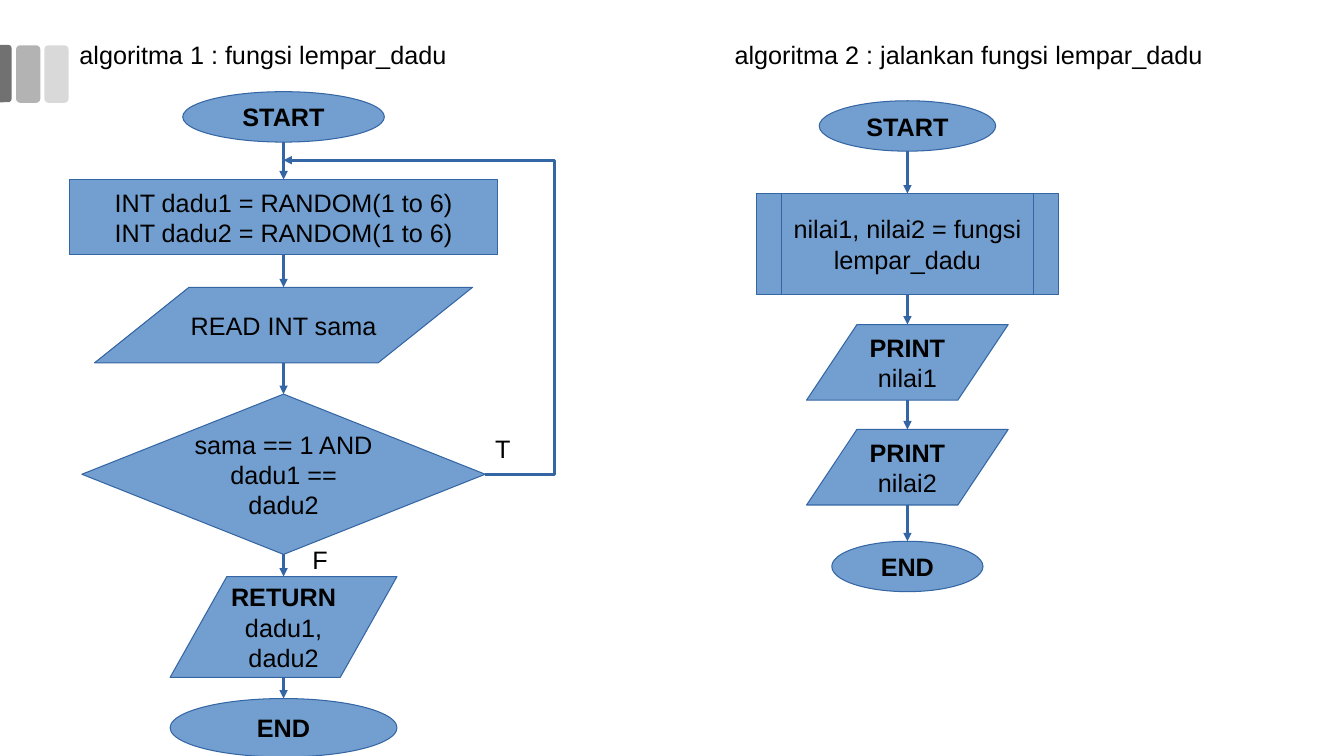
"""Build a slide with two flowcharts: the dice-throwing function and the program that runs it."""
from lxml import etree
from pptx import Presentation
from pptx.dml.color import RGBColor
from pptx.enum.shapes import MSO_CONNECTOR, MSO_SHAPE
from pptx.enum.text import MSO_ANCHOR, MSO_AUTO_SIZE, PP_ALIGN
from pptx.oxml.ns import qn
from pptx.util import Inches, Pt

OVAL = MSO_SHAPE.OVAL
BOX = MSO_SHAPE.RECTANGLE
DATA = MSO_SHAPE.PARALLELOGRAM
DECISION = MSO_SHAPE.DIAMOND
MARK = MSO_SHAPE.ROUNDED_RECTANGLE
MARK_END = MSO_SHAPE.ROUND_2_SAME_RECTANGLE
STRAIGHT = MSO_CONNECTOR.STRAIGHT
ELBOW = MSO_CONNECTOR.ELBOW
COLORS = {"fill": "729FCF", "line": "3465A4", "text": "000000",
          "light": "D9D9D9", "medium": "B3B3B3", "dark": "717171"}
CELL = Inches(0.25)

presentation = Presentation()
presentation.slide_width = Inches(13.33)
presentation.slide_height = Inches(7.5)
slide = presentation.slides.add_slide(presentation.slide_layouts[5])


def place(kind, left, top, width, height, color):
    """Add a filled preset shape, measured in grid cells."""
    shape = slide.shapes.add_shape(kind, *(round(n * CELL) for n in (left, top, width, height)))
    shape.shadow.inherit = False
    shape.fill.solid()
    shape.fill.fore_color.rgb = RGBColor.from_string(COLORS[color])
    shape.line.fill.background()
    return shape


def connect(kind, *ends):
    """Add a hairline arrow between two points, measured in grid cells."""
    arrow = slide.shapes.add_connector(kind, *(round(n * CELL) for n in ends))
    arrow.line.color.rgb = RGBColor.from_string(COLORS["line"])
    arrow.line.width = Pt(0)
    etree.SubElement(arrow.line._get_or_add_ln(), qn("a:tailEnd"), type="triangle")
    etree.SubElement(arrow._element.spPr, qn("a:effectLst"))
    return arrow


place(MARK, 1.76, 1.8, 0.96, 2.28, "light")
place(MARK, 0.64, 1.8, 0.96, 2.28, "medium")
dark_mark = place(MARK_END, -0.92, 2.68, 2.28, 0.48, "dark")
dark_mark.rotation = 90
dark_mark.adjustments[0] = 0.29

flowcharts = [
    (11.25, [
        (OVAL, 3.64, 8, 2, "START", []),
        (BOX, 7.12, 17, 3, "", ["INT dadu1 = RANDOM(1 to 6)", "INT dadu2 = RANDOM(1 to 6)"]),
        (DATA, 11.4, 15, 3, "", ["READ INT sama"]),
        (DECISION, 15.64, 16, 6.36, "", ["sama == 1 AND dadu1 == dadu2"]),
        (DATA, 22.88, 9, 4, "RETURN", [" dadu1, dadu2"]),
        (OVAL, 27.72, 9, 2.32, "END", []),
    ]),
    (36, [
        (OVAL, 4, 7, 2, "START", []),
        (BOX, 7.68, 12, 4, "", []),
        (BOX, 7.68, 10, 4, "", ["nilai1, nilai2 = fungsi lempar_dadu"]),
        (DATA, 12.88, 8, 3, "PRINT", [" nilai1"]),
        (DATA, 17.04, 8, 3, "PRINT", [" nilai2"]),
        (OVAL, 21.48, 6, 2, "END", []),
    ]),
]
for axis, steps in flowcharts:
    bottom = None
    for kind, top, width, height, keyword, lines in steps:
        shape = place(kind, axis - width / 2, top, width, height, "fill")
        shape.line.color.rgb = RGBColor.from_string(COLORS["line"])
        shape.line.width = Pt(0)
        if kind == DATA:
            shape.adjustments[0] = width / height / 4
        frame = shape.text_frame
        frame.word_wrap = True
        frame.vertical_anchor = MSO_ANCHOR.MIDDLE
        frame.text = "\n".join(lines)
        if keyword:
            frame.text = ""
            for text, bold in [(keyword, True)] + [(line, False) for line in lines]:
                run = frame.paragraphs[0].add_run()
                run.text = text
                run.font.bold = bold
        for paragraph in frame.paragraphs:
            paragraph.alignment = PP_ALIGN.CENTER
            paragraph.font.size = Pt(18)
            paragraph.font.name = "Arial"
            paragraph.font.color.rgb = RGBColor.from_string(COLORS["text"])
        if bottom is not None and bottom < top:
            connect(STRAIGHT, axis, bottom, axis, top)
        bottom = top + height

loop_arrow = connect(ELBOW, 19.25, 18.82, 11.25, 6.36)
bend = loop_arrow._element.spPr.find(qn("a:prstGeom")).get_or_add_avLst()
etree.SubElement(bend, qn("a:gd"), name="adj1", fmla="val -34600")

labels = [
    ("algoritma 1 : fungsi lempar_dadu", 2.75, 1.36, 16.25, 2.64),
    ("algoritma 2 : jalankan fungsi lempar_dadu", 28.75, 1.36, 20.25, 2.64),
    ("T", 19.25, 17, 2, 2),
    ("F", 12, 21.4, 2, 2),
]
for number, (text, *box) in enumerate(labels):
    left, top, width, height = (round(n * CELL) for n in box)
    if number == 0:
        label = slide.shapes.title
        label.left, label.top, label.width, label.height = left, top, width, height
    else:
        label = slide.shapes.add_textbox(left, top, width, height)
    frame = label.text_frame
    frame.text = text
    frame.word_wrap = True
    frame.auto_size = MSO_AUTO_SIZE.NONE
    frame.vertical_anchor = MSO_ANCHOR.TOP
    paragraph = frame.paragraphs[0]
    paragraph.alignment = PP_ALIGN.LEFT
    paragraph.font.size = Pt(18)
    paragraph.font.name = "Arial"
    paragraph.font.color.rgb = RGBColor.from_string(COLORS["text"])

presentation.save("out.pptx")
